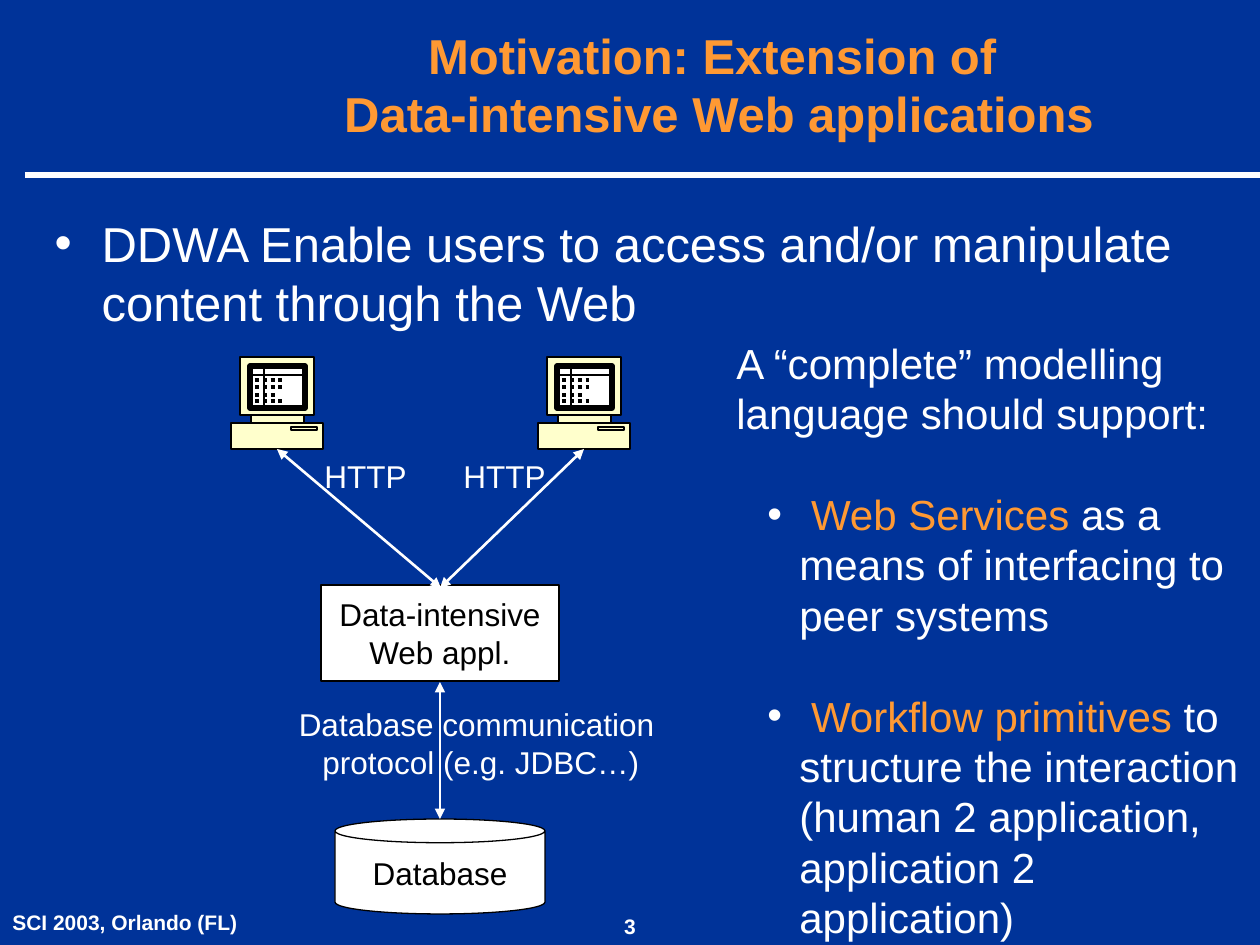
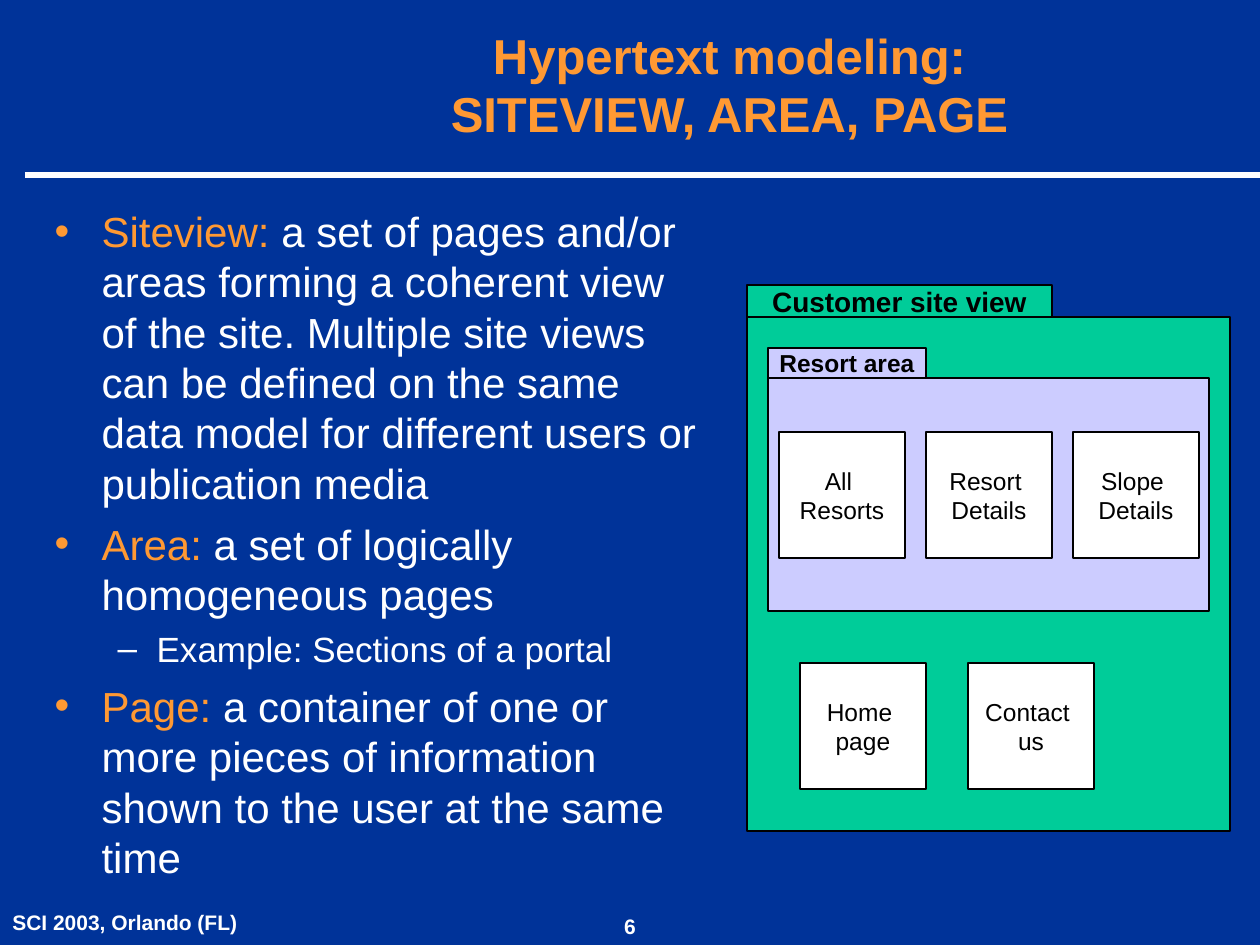
import dataclasses

import lxml.etree
import pptx
import pptx.dml.color
import pptx.enum.dml
import pptx.enum.shapes
import pptx.enum.text
import pptx.oxml.ns
import pptx.util

EMU_PER_PX = 914400 / 126
SHAPE = pptx.enum.shapes.MSO_SHAPE
LEFT = pptx.enum.text.PP_ALIGN.LEFT
CENTER = pptx.enum.text.PP_ALIGN.CENTER
MIDDLE = pptx.enum.text.MSO_ANCHOR.MIDDLE
TOP = pptx.enum.text.MSO_ANCHOR.TOP
DOTTED = pptx.enum.dml.MSO_LINE.ROUND_DOT


@dataclasses.dataclass(frozen=True)
class Theme:
    font: str = "Arial"
    navy: str = "003399"
    orange: str = "FF9933"
    white: str = "FFFFFF"
    black: str = "000000"
    cream: str = "FFFFCC"
    green: str = "00CC99"
    lilac: str = "CCCCFF"
    heading: int = 28
    text: int = 24
    subtext: int = 20
    label: int = 18
    site_label: int = 16
    page_label: int = 14
    footer: int = 12


THEME = Theme()


@dataclasses.dataclass(frozen=True)
class ListStyle:
    size: int
    margin: int = 0
    indent: int = 0
    before: float = 0
    symbol: str = ""
    level: int = 0


INTRO = ListStyle(THEME.heading, 47, -47, 7, "•")
TERM = ListStyle(THEME.text, 47, -47, 6, "•")
EXAMPLE = ListStyle(THEME.subtext, 102, -39, 5, "–", 1)
LEAD_IN = ListStyle(THEME.text)
REQUIREMENT = ListStyle(THEME.text, 63, -32, 28.8, "•", 1)


def px(length):
    return pptx.util.Emu(round(length * EMU_PER_PX))


def rgb(color):
    return pptx.dml.color.RGBColor.from_string(color)


def add_xml(parent, tag, **attributes):
    return lxml.etree.SubElement(parent, pptx.oxml.ns.qn(tag), attributes)


def format_run(run, size, color, bold=False):
    run.font.name = THEME.font
    run.font.size = pptx.util.Pt(size)
    run.font.bold = bold
    run.font.color.rgb = rgb(color)


def write(frame, text, size, color, bold=False, align=CENTER, anchor=MIDDLE, wrap=False):
    frame.text = text
    frame.word_wrap = wrap
    frame.auto_size = pptx.enum.text.MSO_AUTO_SIZE.NONE
    frame.vertical_anchor = anchor
    for paragraph in frame.paragraphs:
        paragraph.alignment = align
        for run in paragraph.runs:
            format_run(run, size, color, bold)


def write_list(frame, items):
    frame.word_wrap = True
    frame.auto_size = pptx.enum.text.MSO_AUTO_SIZE.NONE
    frame.vertical_anchor = TOP
    for number, (style, bullet_color, runs) in enumerate(items):
        paragraph = frame.add_paragraph() if number else frame.paragraphs[0]
        paragraph.level = style.level
        properties = paragraph._p.get_or_add_pPr()
        properties.set("marL", str(px(style.margin)))
        properties.set("indent", str(px(style.indent)))
        if style.symbol:
            add_xml(add_xml(properties, "a:buClr"), "a:srgbClr", val=bullet_color)
            add_xml(properties, "a:buFont", typeface=THEME.font)
            add_xml(properties, "a:buChar", char=style.symbol)
        paragraph.alignment = LEFT
        paragraph.space_before = pptx.util.Pt(style.before if number else 0)
        for text, color in runs:
            run = paragraph.add_run()
            run.text = text
            format_run(run, style.size, color)


def place(shape, left, top, width, height):
    shape.left, shape.top = px(left), px(top)
    shape.width, shape.height = px(width), px(height)


def paint(shape, fill, line_width):
    shape.shadow.inherit = False
    shape.fill.solid()
    shape.fill.fore_color.rgb = rgb(fill)
    shape.line.color.rgb = rgb(THEME.black)
    shape.line.width = pptx.util.Pt(line_width)


def add_box(slide, left, top, width, height, fill=THEME.white, line_width=1.0, kind=SHAPE.RECTANGLE):
    box = slide.shapes.add_shape(kind, px(left), px(top), px(width), px(height))
    paint(box, fill, line_width)
    return box


def add_label(slide, left, top, width, height, text, size=THEME.label, color=THEME.white, **options):
    label = slide.shapes.add_textbox(px(left), px(top), px(width), px(height))
    write(label.text_frame, text, size, color, anchor=TOP, **options)


def add_line(slide, start, end, color, width, dash=None, arrows=False):
    line = slide.shapes.add_connector(
        pptx.enum.shapes.MSO_CONNECTOR.STRAIGHT, *map(px, start + end))
    line.line.color.rgb = rgb(color)
    line.line.width = pptx.util.Pt(width)
    if dash:
        line.line.dash_style = dash
    if arrows:
        outline = line.line._get_or_add_ln()
        add_xml(outline, "a:headEnd", type="triangle")
        add_xml(outline, "a:tailEnd", type="triangle")
    add_xml(line._element.spPr, "a:effectLst")


def add_slide(deck, title, title_width, number):
    slide = deck.slides.add_slide(deck.slide_layouts[1])
    heading = slide.shapes.title
    place(heading, 262, 0, title_width, 168)
    write(heading.text_frame, title, THEME.heading, THEME.orange, bold=True, wrap=True)
    add_line(slide, (25, 175), (1260, 175), THEME.white, 3)
    add_label(slide, 0, 903, 451, 42, "SCI 2003, Orlando (FL)", THEME.footer,
              bold=True, align=LEFT, wrap=True)
    add_label(slide, 567, 907, 126, 38, number, THEME.footer, bold=True)
    return slide


def add_body(slide, left, top, width, height, items):
    body = slide.placeholders[1]
    place(body, left, top, width, height)
    write_list(body.text_frame, items)


def add_computer(slide, left, top):
    outline = [(73, 66), (73, 58), (83, 58), (83, 0), (9, 0), (9, 58),
               (20, 58), (20, 66), (0, 66), (0, 92), (92, 92), (92, 66)]
    corners = [(left + x, top + y) for x, y in outline]
    builder = slide.shapes.build_freeform(*corners[0], scale=EMU_PER_PX)
    builder.add_line_segments(corners[1:], close=True)
    paint(builder.convert_to_shape(), THEME.cream, 0.75)
    add_box(slide, left + 20, top + 58, 53, 8, THEME.cream, 0.75)
    add_box(slide, left + 60, top + 70, 26, 3, THEME.cream, 0.75)
    add_box(slide, left + 19, top + 9, 55, 42, THEME.white, 3)
    strokes = [((33, 9), (33, 52), 0.75, None), ((19, 18), (74, 18), 0.75, None)]
    strokes += [((24, y), (end, y), 2.25, DOTTED)
                for y, end in ((23, 55), (30, 55), (38, 44), (44, 55))]
    for (x1, y1), (x2, y2), width, dash in strokes:
        add_line(slide, (left + x1, top + y1), (left + x2, top + y2), THEME.black, width, dash)


def add_folder(slide, left, top, width, height, fill, tab_width, tab_height, name, size):
    add_box(slide, left, top, width, height, fill)
    tab = add_box(slide, left, top - tab_height, tab_width, tab_height, fill)
    write(tab.text_frame, name, size, THEME.black, bold=True)


def add_pages(slide, left, top, step, names):
    for column, name in enumerate(names):
        page = add_box(slide, left + column * step, top, 126, 126)
        write(page.text_frame, name, THEME.page_label, THEME.black)


def build_motivation(deck):
    slide = add_slide(deck, "Motivation: Extension of \vData-intensive Web applications", 914, "3")
    add_body(slide, 42, 207, 1187, 634, [
        (INTRO, THEME.white, [
            ("DDWA Enable users to access and/or manipulate content through the Web", THEME.white)]),
    ])

    database = add_box(slide, 335, 819, 210, 95, line_width=0.75, kind=SHAPE.CAN)
    database.adjustments[0] = 0.25
    write(database.text_frame, "Database", THEME.label, THEME.black)
    application = add_box(slide, 321, 585, 238, 96, line_width=0.75)
    write(application.text_frame, "Data-intensive\nWeb appl.", THEME.label, THEME.black)
    add_label(slide, 282, 699, 389, 88, "Database communication\n protocol (e.g. JDBC…)")

    for computer_left, protocol_left, arrow_end in ((231, 312, 441), (538, 451, 440)):
        add_computer(slide, computer_left, 357)
        add_label(slide, protocol_left, 451, 107, 50, "HTTP", align=LEFT)
        add_line(slide, (computer_left + 46, 449), (arrow_end, 588), THEME.white, 1.5, arrows=True)
    add_line(slide, (440, 682), (440, 819), THEME.white, 0.75, arrows=True)

    requirements = slide.shapes.add_textbox(px(724), px(331), px(536), px(614))
    write_list(requirements.text_frame, [
        (LEAD_IN, THEME.white, [("A “complete” modelling language should support:", THEME.white)]),
        (REQUIREMENT, THEME.white, [
            (" Web Services ", THEME.orange),
            ("as a means of interfacing to peer systems", THEME.white)]),
        (REQUIREMENT, THEME.white, [
            (" Workflow primitives ", THEME.orange),
            ("to structure the interaction (human 2 application, application 2 application)",
             THEME.white)]),
    ])


def build_hypertext(deck):
    slide = add_slide(deck, "Hypertext modeling:\vSITEVIEW, AREA, PAGE", 935, "6")
    add_body(slide, 42, 199, 680, 693, [
        (TERM, THEME.orange, [
            ("Siteview:", THEME.orange),
            (" a set of pages and/or areas forming a coherent view of the site. Multiple site views "
             "can be defined on the same data model for different users or publication media",
             THEME.white)]),
        (TERM, THEME.orange, [
            ("Area: ", THEME.orange),
            ("a set of logically homogeneous pages", THEME.white)]),
        (EXAMPLE, THEME.white, [("Example: Sections of a portal", THEME.white)]),
        (TERM, THEME.orange, [
            ("Page:", THEME.orange),
            (" a container of one or more pieces of information shown to the user at the same time",
             THEME.white)]),
    ])
    add_folder(slide, 747, 317, 483, 514, THEME.green, 305, 32,
               "Customer site view", THEME.site_label)
    add_folder(slide, 768, 378, 441, 233, THEME.lilac, 158, 30,
               "Resort area", THEME.page_label)
    add_pages(slide, 800, 663, 168, ["Home \npage", "Contact \nus"])
    add_pages(slide, 779, 432, 147, ["All \nResorts", "Resort \nDetails", "Slope \nDetails"])


def main():
    deck = pptx.Presentation()
    deck.slide_width, deck.slide_height = px(1260), px(945)
    background = deck.slide_master.background.fill
    background.solid()
    background.fore_color.rgb = rgb(THEME.navy)
    build_motivation(deck)
    build_hypertext(deck)
    deck.save("out.pptx")


if __name__ == "__main__":
    main()
